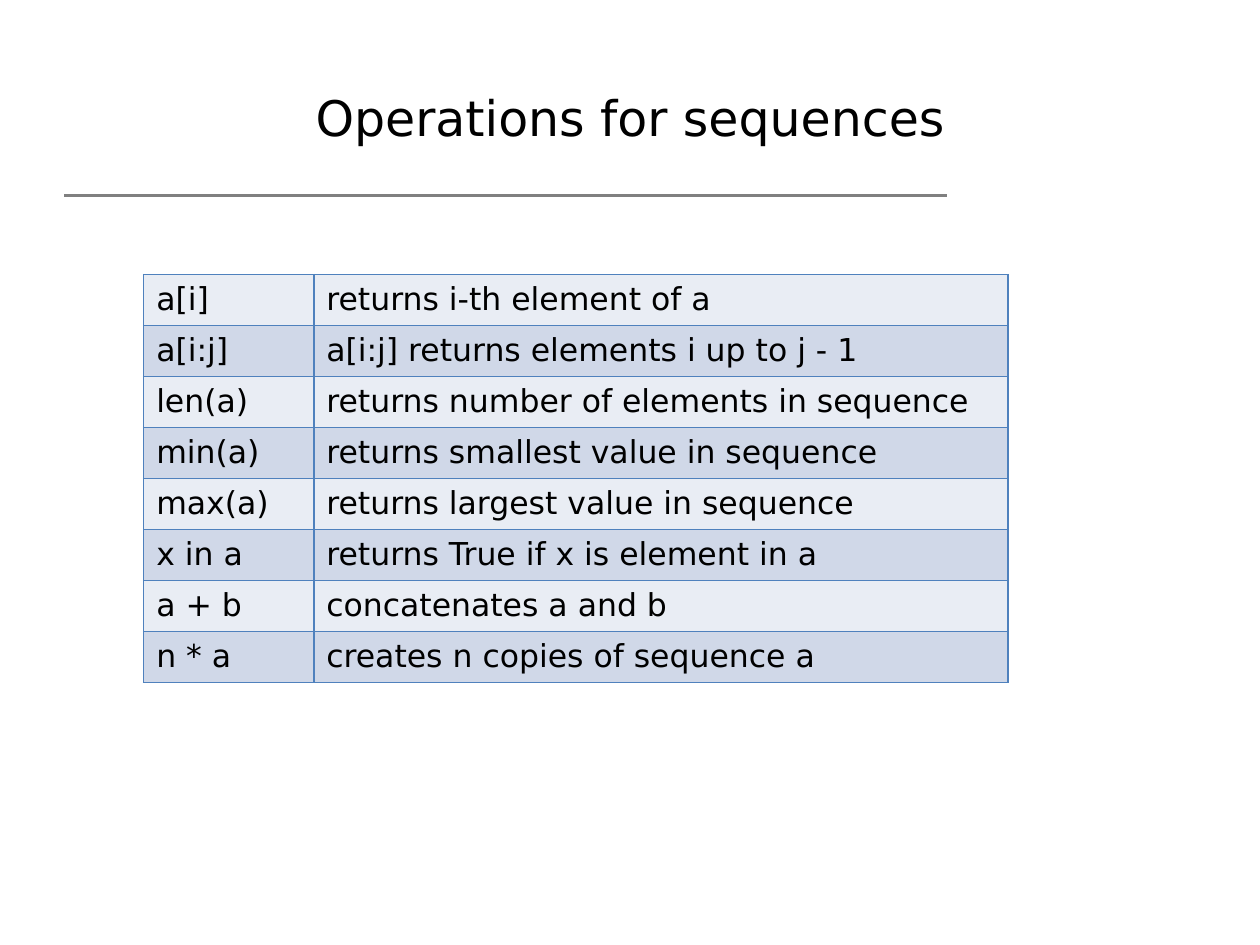
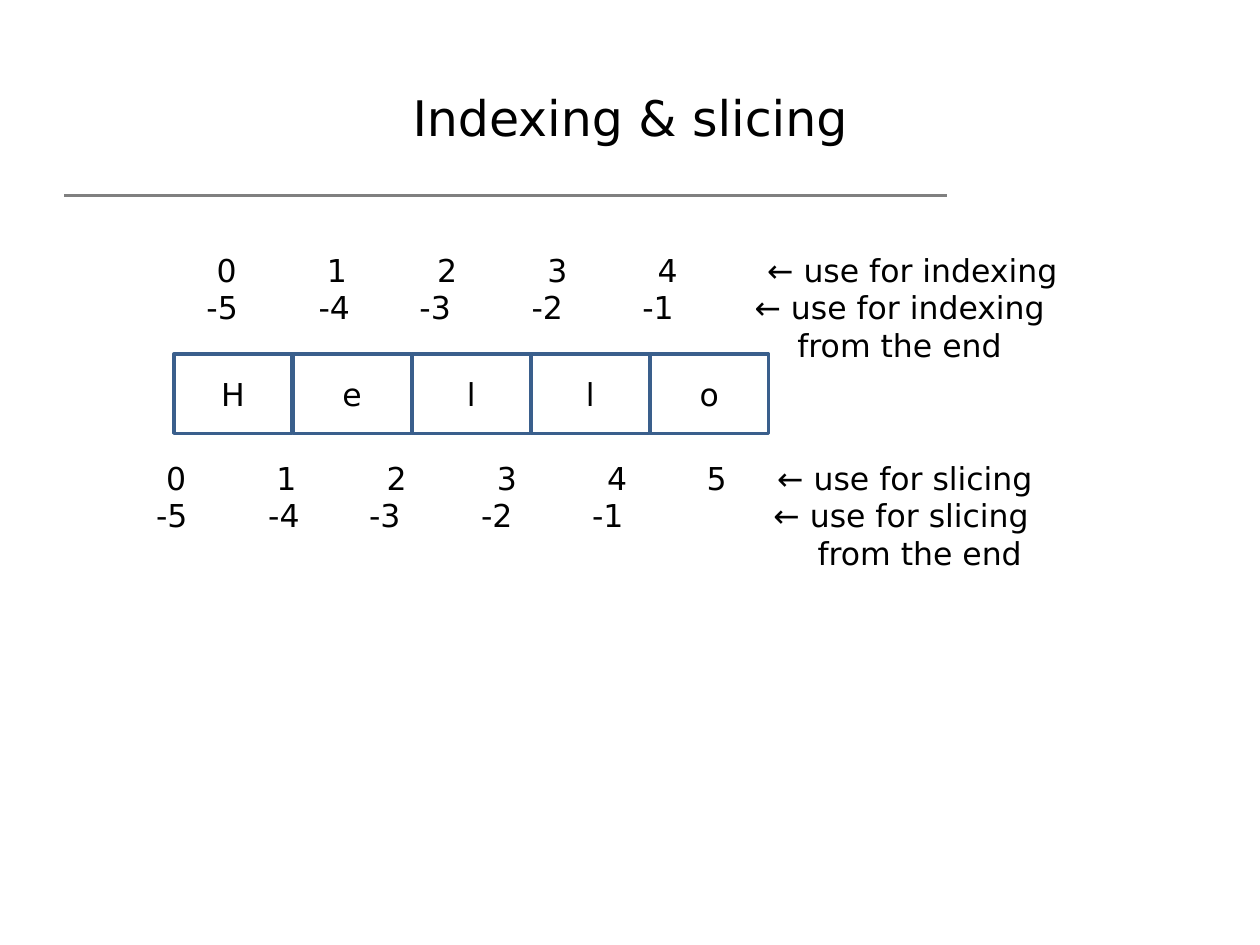
from lxml import etree
from pptx import Presentation, util as u
from pptx.dml.color import RGBColor
from pptx.enum import shapes, text
from pptx.oxml import ns

Inches, Pt = u.Inches, u.Pt
FONT = "DejaVu Sans"
HUES = {"ink": "000000", "rule": "808080", "grid": "4F81BD", "box": "3A5F8C",
        "pale": "E9EDF4", "band": "D0D8E8"}


def hue(name):
    return RGBColor.from_string(HUES[name])


def style(par, size=18, align=None):
    par.font.name = FONT
    par.font.size = Pt(size)
    par.font.color.rgb = hue("ink")
    par.alignment = align


deck = Presentation()
deck.slide_width, deck.slide_height = Inches(10), Inches(7.5)

# Shared frame: rule and title
pages = []
for name in ("Operations for sequences", "Indexing & slicing"):
    page = deck.slides.add_slide(deck.slide_layouts[5])
    rule = page.shapes.add_connector(shapes.MSO_CONNECTOR.STRAIGHT, Inches(0.51),
                                     Inches(1.55), Inches(7.52), Inches(1.55))
    rule.line.color.rgb = hue("rule")
    rule.line.width = Pt(1.75)
    etree.SubElement(rule._element.spPr, ns.qn("a:effectLst"))
    title = page.shapes.title
    title.left, title.top = Inches(0.5), Inches(0.3)
    title.width, title.height = Inches(9), Inches(1.25)
    title.text_frame.text = name
    title.text_frame.vertical_anchor = text.MSO_ANCHOR.MIDDLE
    style(title.text_frame.paragraphs[0], 28, text.PP_ALIGN.CENTER)
    pages.append(page)

# Slide 1: table of operations
rows = [
    ("a[i]", "returns i-th element of a"),
    ("a[i:j]", "a[i:j] returns elements i up to j - 1"),
    ("len(a)", "returns number of elements in sequence"),
    ("min(a)", "returns smallest value in sequence"),
    ("max(a)", "returns largest value in sequence"),
    ("x in a", "returns True if x is element in a"),
    ("a + b", "concatenates a and b"),
    ("n * a", "creates n copies of sequence a"),
]
table = pages[0].shapes.add_table(len(rows), 2, Inches(1.14), Inches(2.18),
                                  Inches(6.86), Inches(3.24)).table
table.first_row = table.horz_banding = False
table.columns[0].width, table.columns[1].width = Inches(1.35), Inches(5.51)
for r, row in enumerate(rows):
    for c, words in enumerate(row):
        cell = table.cell(r, c)
        cell.text = words
        style(cell.text_frame.paragraphs[0])
        props = cell._tc.get_or_add_tcPr()
        for side in ("lnL", "lnR", "lnT", "lnB"):
            edge = etree.SubElement(props, ns.qn("a:" + side), w=str(Pt(1)))
            fill = etree.SubElement(edge, ns.qn("a:solidFill"))
            etree.SubElement(fill, ns.qn("a:srgbClr"), val=HUES["grid"])
        cell.fill.solid()
        cell.fill.fore_color.rgb = hue("band" if r % 2 else "pale")

# Slide 2: one box per letter
for i, letter in enumerate("Hello"):
    box = pages[1].shapes.add_shape(shapes.MSO_SHAPE.RECTANGLE, Inches(1.38 + 0.945 * i),
                                    Inches(2.81), Inches(0.94), Inches(0.63))
    box.shadow.inherit = False
    box.fill.background()
    box.line.color.rgb = hue("box")
    box.line.width = Pt(2)
    box.text_frame.text = letter
    box.text_frame.vertical_anchor = text.MSO_ANCHOR.MIDDLE
    style(box.text_frame.paragraphs[0], align=text.PP_ALIGN.CENTER)

# Index rows: each entry sits on its own tab stop
ups = [(0.08 + 0.875 * i, str(i)) for i in range(5)]
downs = list(zip((0, 0.89, 1.69, 2.58, 3.46), ("-5", "-4", "-3", "-2", "-1")))
notes = [
    (1.54, 1.94, 7.45, [ups + [(4.45, "← use for indexing")],
                        downs + [(4.35, "← use for indexing")],
                        [(4.69, "from the end")]]),
    (1.14, 3.59, 7.89, [ups + [(4.37, "5"), (4.93, "← use for slicing")],
                        downs + [(4.9, "← use for slicing")],
                        [(5.25, "from the end")]]),
]
for left, top, width, lines in notes:
    frame = pages[1].shapes.add_textbox(Inches(left), Inches(top), Inches(width),
                                        Inches(1.01)).text_frame
    frame.word_wrap = True
    for n, line in enumerate(lines):
        par = frame.paragraphs[0] if n == 0 else frame.add_paragraph()
        par.text = "".join(("\t" if spot else "") + words for spot, words in line)
        style(par)
        stops = etree.Element(ns.qn("a:tabLst"))
        for spot, words in line:
            if spot:
                etree.SubElement(stops, ns.qn("a:tab"), pos=str(Inches(spot)), algn="l")
        par._p.get_or_add_pPr().insert(0, stops)

deck.save("out.pptx")
